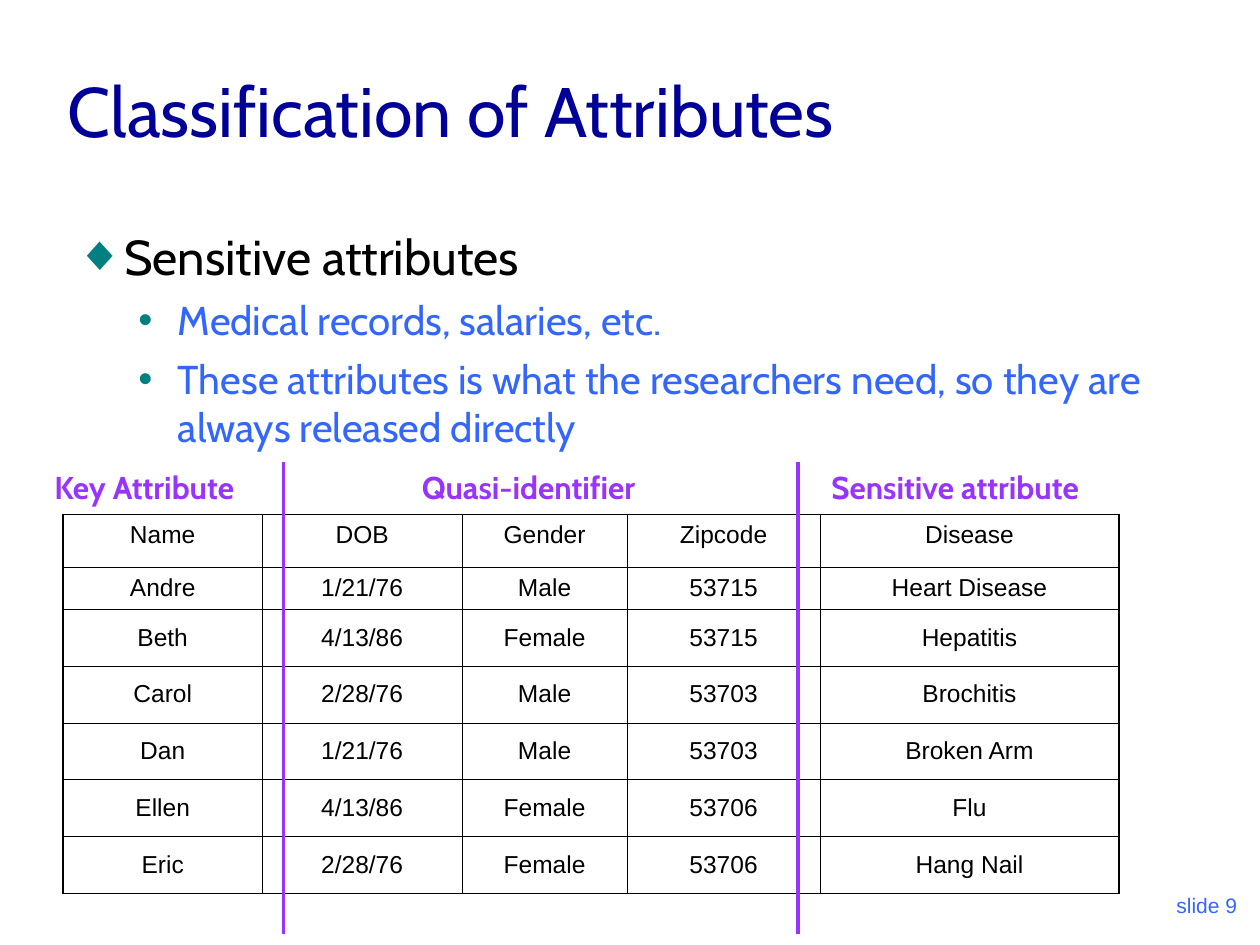
"""Build the slide that classifies table attributes by sensitivity."""
import pptx
import pptx.dml.color
import pptx.enum.shapes
import pptx.enum.text
import pptx.oxml.ns
import pptx.util
from lxml import etree

ALIGN = pptx.enum.text.PP_ALIGN
ANCHOR = pptx.enum.text.MSO_ANCHOR
Pt = pptx.util.Pt
qn = pptx.oxml.ns.qn
BLACK, TEAL, BLUE, PURPLE = "000000", "008080", "3366FF", "9933FF"


def color(value):
    return pptx.dml.color.RGBColor.from_string(value)


def write(para, text, ink, font, layout):
    span = para.add_run()
    span.text = text
    span.font.color.rgb = color(ink)
    for name, value in font.items():
        setattr(span.font, name, value)
    for name, value in layout.items():
        setattr(para, name, value)


deck = pptx.Presentation()
deck.slide_width = pptx.util.Inches(10)
deck.slide_height = pptx.util.Inches(7.5)
page = deck.slides.add_slide(deck.slide_layouts[6])
unit = deck.slide_width // 120

label_font = {"name": "Cabin", "size": Pt(18), "bold": True}
label_layout = {"space_before": Pt(4.5)}
boxes = [
    ("Classification of Attributes", (5.25, 3, 102, 12), ANCHOR.BOTTOM,
     "000099", {"name": "Cabin", "size": Pt(40)}, {}),
    ("Key Attribute", (4, 44, 22.5, 4.8), ANCHOR.TOP, PURPLE, label_font, label_layout),
    ("Quasi-identifier", (39, 44, 31, 4.8), ANCHOR.TOP, PURPLE, label_font, label_layout),
    ("Sensitive attribute", (78, 44, 31, 4.8), ANCHOR.TOP, PURPLE, label_font, label_layout),
    ("slide 9", (94, 82, 25, 6), ANCHOR.BOTTOM, BLUE, {"name": "Arial", "size": Pt(12)},
     {"alignment": ALIGN.RIGHT, "space_before": Pt(7.5)}),
]
for text, place, anchor, ink, font, layout in boxes:
    box = page.shapes.add_textbox(*[int(unit * length) for length in place])
    box.text_frame.word_wrap = True
    box.text_frame.vertical_anchor = anchor
    write(box.text_frame.paragraphs[0], text, ink, font, layout)

points = [
    ("Sensitive attributes", 0),
    ("Medical records, salaries, etc.", 1),
    ("These attributes is what the researchers need, so they are always released directly", 1),
]
levels = [
    {"ink": BLACK, "size": 28, "before": 7, "margin": 4.5, "hang": 4.5, "mark": "◆"},
    {"ink": BLUE, "size": 23, "before": 5.8, "margin": 9.75, "hang": 3.75, "mark": "•"},
]
body = page.shapes.add_textbox(*[unit * length for length in (6, 21, 105, 24)]).text_frame
body.word_wrap = True
for index, (text, depth) in enumerate(points):
    level = levels[depth]
    para = body.add_paragraph() if index else body.paragraphs[0]
    write(para, text, level["ink"], {"name": "Cabin", "size": Pt(level["size"])},
          {"level": depth, "space_before": Pt(level["before"])})
    settings = para._p.get_or_add_pPr()
    settings.set("marL", str(int(unit * level["margin"])))
    settings.set("indent", str(int(-unit * level["hang"])))
    tint = etree.SubElement(settings, qn("a:buClr"))
    etree.SubElement(tint, qn("a:srgbClr"), val=TEAL)
    etree.SubElement(settings, qn("a:buFont"), typeface="Arial")
    etree.SubElement(settings, qn("a:buChar"), char=level["mark"])

records = [
    ("Name", "DOB", "Gender", "Zipcode", "Disease"),
    ("Andre", "1/21/76", "Male", "53715", "Heart Disease"),
    ("Beth", "4/13/86", "Female", "53715", "Hepatitis"),
    ("Carol", "2/28/76", "Male", "53703", "Brochitis"),
    ("Dan", "1/21/76", "Male", "53703", "Broken Arm"),
    ("Ellen", "4/13/86", "Female", "53706", "Flu"),
    ("Eric", "2/28/76", "Female", "53706", "Hang Nail"),
]
widths = [19, 19, 15.75, 18.35, 28.5]
heights = [5, 4] + [5.42] * 5
place = (6, 49, sum(widths), sum(heights))
table = page.shapes.add_table(len(records), len(widths),
                              *[int(unit * length) for length in place]).table
table.first_row = table.horz_banding = False
for column, width in zip(table.columns, widths):
    column.width = int(unit * width)
for row, height in zip(table.rows, heights):
    row.height = int(unit * height)
for i, record in enumerate(records):
    for j, text in enumerate(record):
        cell = table.cell(i, j)
        write(cell.text_frame.paragraphs[0], text, BLACK,
              {"name": "Arial", "size": Pt(14)},
              {"alignment": ALIGN.CENTER, "space_before": Pt(3.5)})
        cell.vertical_anchor = ANCHOR.MIDDLE if i else ANCHOR.TOP
        outer = {"L": j == 0, "R": j == len(widths) - 1,
                 "T": i == 0, "B": i == len(records) - 1}
        for side, edge in outer.items():
            border = etree.SubElement(cell._tc.get_or_add_tcPr(), qn("a:ln" + side),
                                      w=str(Pt(1.08 if edge else 0.45)))
            paint = etree.SubElement(border, qn("a:solidFill"))
            etree.SubElement(paint, qn("a:srgbClr"), val=BLACK)
        cell.fill.background()

for across in (27, 76):
    divider = page.shapes.add_connector(
        pptx.enum.shapes.MSO_CONNECTOR.STRAIGHT,
        *[unit * length for length in (across, 44, across, 89)])
    divider.line.color.rgb = color(PURPLE)
    divider.line.width = Pt(2.25)
    etree.SubElement(divider._element.spPr, qn("a:effectLst"))

deck.save("out.pptx")
